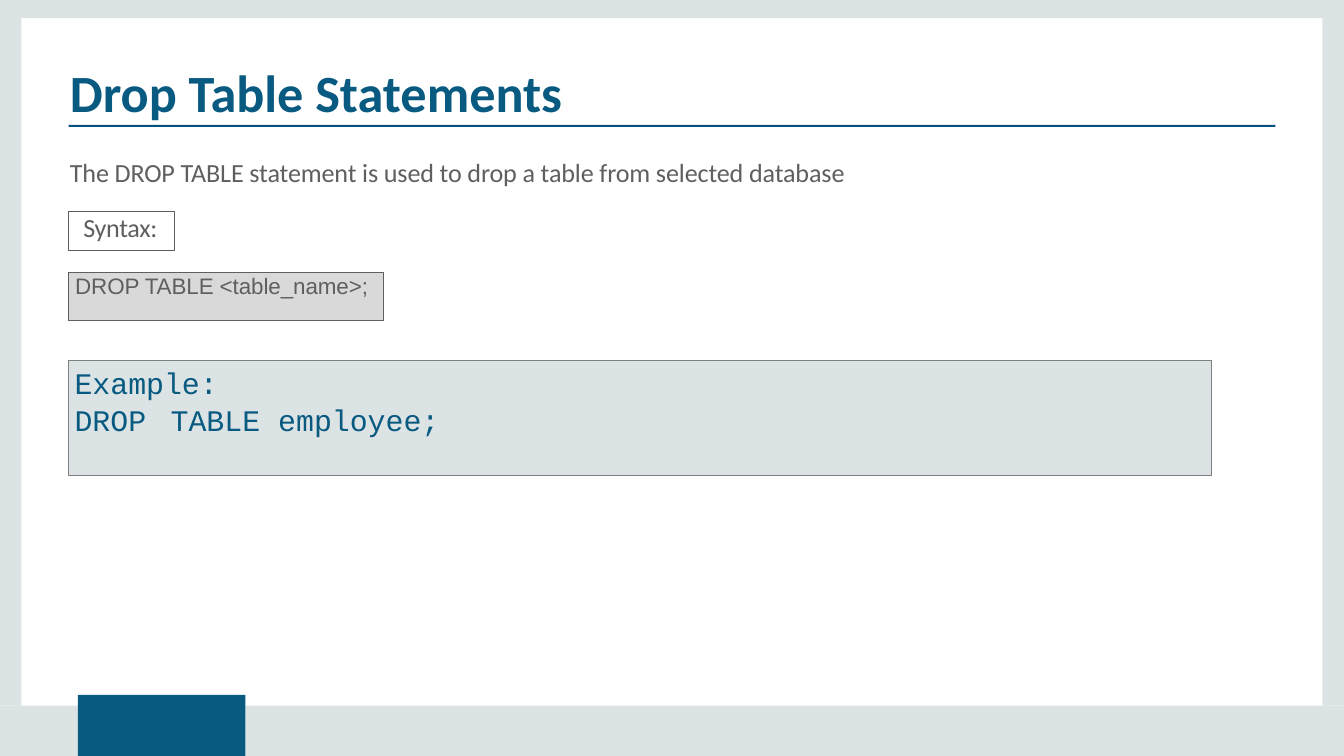
from lxml.etree import SubElement
from pptx import Presentation
from pptx.dml.color import RGBColor
from pptx.enum.shapes import MSO_SHAPE as Shape
from pptx.enum.text import MSO_ANCHOR as Anchor, MSO_AUTO_SIZE as AutoSize, PP_ALIGN as Align
from pptx.oxml.ns import qn
from pptx.util import Inches, Pt

WIDTH, HEIGHT = 20, 11.25
SIDE, TOP, FOOTER_TOP = 0.32, 0.27, 10.5
TAB_LEFT, TAB_RIGHT, TAB_TOP = 1.16, 3.65, 10.34
LEFT, RIGHT = 1.02, 18.98
BLUE, PALE, GREY = "095A81", "DCE3E4", "5F5F5F"


def color(value):
    return RGBColor.from_string(value)


def add_box(slide, left, top, width, height, fill=None, line=None, line_width=0.72):
    box = slide.shapes.add_shape(
        Shape.RECTANGLE, Inches(left), Inches(top), Inches(width), Inches(height))
    box.shadow.inherit = False
    if fill:
        box.fill.solid()
        box.fill.fore_color.rgb = color(fill)
    else:
        box.fill.background()
    if line:
        box.line.color.rgb = color(line)
        box.line.width = Pt(line_width)
    else:
        box.line.fill.background()
    return box


def write(shape, text, size, font, ink, bold=False, indent=0.01, inset_top=0, spacing=0):
    """Fill a shape with left-aligned text; spacing is between letters, in points."""
    frame = shape.text_frame
    frame.text = text
    frame.word_wrap = True
    frame.auto_size = AutoSize.NONE
    frame.vertical_anchor = Anchor.TOP
    frame.margin_left = Inches(indent)
    frame.margin_top = Inches(inset_top)
    frame.margin_right = frame.margin_bottom = 0
    for paragraph in frame.paragraphs:
        paragraph.alignment = Align.LEFT
        for run in paragraph.runs:
            run.font.size = Pt(size)
            run.font.name = font
            run.font.bold = bold
            run.font.color.rgb = color(ink)
            run.font._element.set("spc", str(round(spacing * 100)))
    return frame


def add_tab_stops(paragraph, positions):
    tab_list = SubElement(paragraph._p.get_or_add_pPr(), qn("a:tabLst"))
    for position in positions:
        SubElement(tab_list, qn("a:tab"), pos=str(Inches(position)), algn="l")


def add_page_frame(slide):
    side_height, footer_height = FOOTER_TOP - TOP, HEIGHT - FOOTER_TOP
    add_box(slide, 0, 0, WIDTH, TOP, PALE)
    for left in (0, WIDTH - SIDE):
        add_box(slide, left, TOP, SIDE, side_height, PALE)
    for left, right in ((0, TAB_LEFT), (TAB_RIGHT, WIDTH)):
        add_box(slide, left, FOOTER_TOP, right - left, footer_height, PALE)
    add_box(slide, TAB_LEFT, TAB_TOP, TAB_RIGHT - TAB_LEFT, HEIGHT - TAB_TOP, BLUE)


def add_title(slide, text):
    title = slide.shapes.title
    title.left, title.top = Inches(1.03), Inches(0.9)
    title.width, title.height = Inches(17.95), Inches(0.81)
    write(title, text, 56, "Calibri", BLUE, bold=True)
    add_box(slide, LEFT, 1.86, RIGHT - LEFT, 0.03, "05517F")


def add_intro(slide, text):
    intro = slide.shapes.add_textbox(Inches(1.03), Inches(2.32), Inches(11.79), Inches(0.42))
    write(intro, text, 28, "Calibri", GREY, spacing=-0.15)


def add_example(slide, text):
    box = add_box(slide, LEFT, 5.36, 17.01, 1.72, PALE, "7F7F7F", 0.96)
    frame = write(box, text, 32, "Courier New", BLUE, indent=0.09, inset_top=0.06,
                  spacing=-0.05)
    statement = frame.paragraphs[1]
    statement.space_before = Pt(2)
    add_tab_stops(statement, (1.43, 3.03))


def main():
    presentation = Presentation()
    presentation.slide_width, presentation.slide_height = Inches(WIDTH), Inches(HEIGHT)
    slide = presentation.slides.add_slide(presentation.slide_layouts[5])

    add_page_frame(slide)
    add_title(slide, "Drop Table Statements")
    add_intro(slide, "The DROP TABLE statement is used to drop a table from selected database")
    add_example(slide, "Example:\nDROP\tTABLE\temployee;")
    label = add_box(slide, LEFT, 3.15, 1.58, 0.58, line="5D5D5D")
    write(label, "Syntax:", 28, "Calibri", GREY, indent=0.22, spacing=-0.35)
    syntax = add_box(slide, LEFT, 4.05, 4.69, 0.71, "D9D9D9", GREY)
    write(syntax, "DROP TABLE <table_name>;", 24, "Arial", GREY, indent=0.1, spacing=-0.1)

    presentation.save("out.pptx")


if __name__ == "__main__":
    main()
